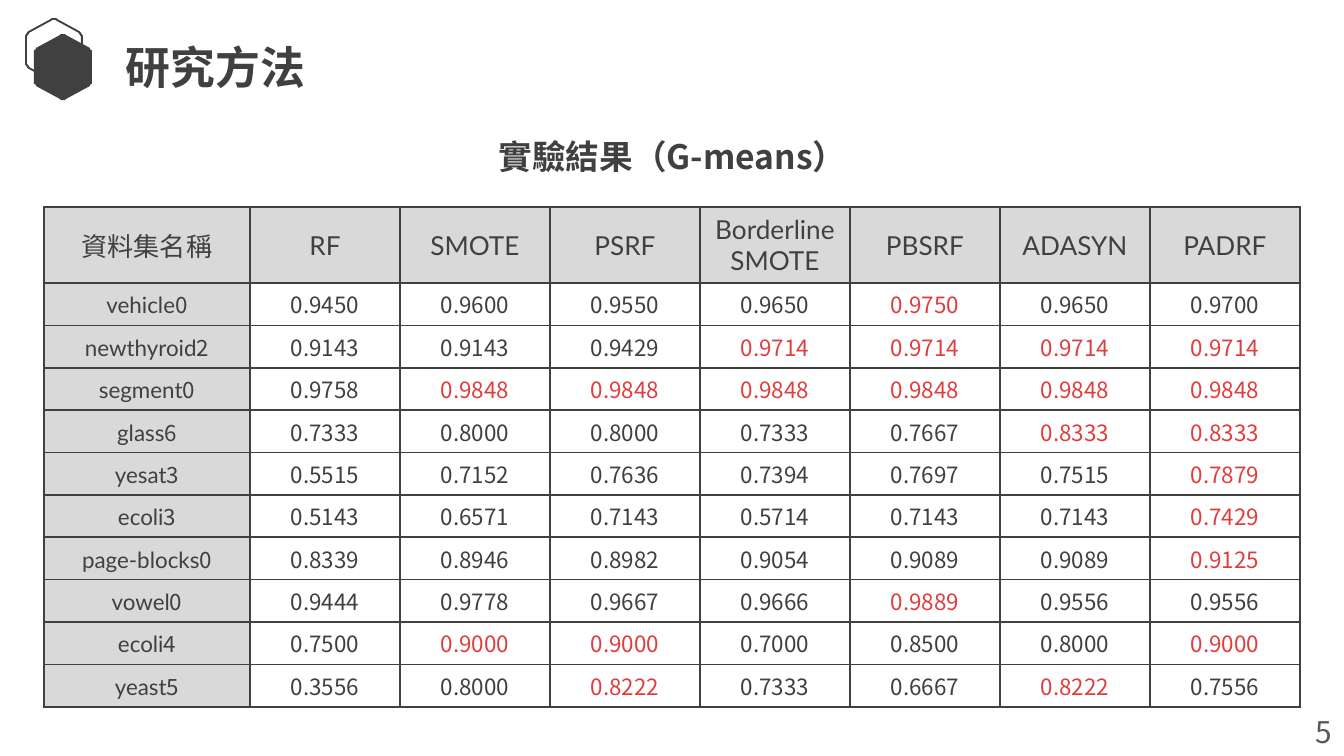
from math import cos, pi, sin

from lxml.etree import SubElement
from pptx import Presentation
from pptx.dml.color import RGBColor
from pptx.enum.text import MSO_ANCHOR, MSO_AUTO_SIZE, PP_ALIGN
from pptx.oxml import parse_xml
from pptx.oxml.ns import nsdecls, qn
from pptx.util import Pt

PX = 6804  # EMU per px at 134.4 px to the inch
CJK, LATIN = "Noto Sans CJK JP", "Lato"
COLORS = {"ink": "404040", "number": "595959", "best": "E03E3E", "head": "D9D9D9"}

HEADERS = ["資料集名稱", "RF", "SMOTE", "PSRF", "Borderline SMOTE", "PBSRF", "ADASYN", "PADRF"]
G_MEANS = {
    "vehicle0": (0.9450, 0.9600, 0.9550, 0.9650, 0.9750, 0.9650, 0.9700),
    "newthyroid2": (0.9143, 0.9143, 0.9429, 0.9714, 0.9714, 0.9714, 0.9714),
    "segment0": (0.9758, 0.9848, 0.9848, 0.9848, 0.9848, 0.9848, 0.9848),
    "glass6": (0.7333, 0.8000, 0.8000, 0.7333, 0.7667, 0.8333, 0.8333),
    "yesat3": (0.5515, 0.7152, 0.7636, 0.7394, 0.7697, 0.7515, 0.7879),
    "ecoli3": (0.5143, 0.6571, 0.7143, 0.5714, 0.7143, 0.7143, 0.7429),
    "page-blocks0": (0.8339, 0.8946, 0.8982, 0.9054, 0.9089, 0.9089, 0.9125),
    "vowel0": (0.9444, 0.9778, 0.9667, 0.9666, 0.9889, 0.9556, 0.9556),
    "ecoli4": (0.7500, 0.9000, 0.9000, 0.7000, 0.8500, 0.8000, 0.9000),
    "yeast5": (0.3556, 0.8000, 0.8222, 0.7333, 0.6667, 0.8222, 0.7556),
}


def rgb(name):
    return RGBColor.from_string(COLORS[name])


def add_text(p, text, size=12, font=CJK, color="ink", bold=False, align=None):
    """Append one formatted run to paragraph p."""
    if align is not None:
        p.alignment = align
    r = p.add_run()
    r.text = text
    r.font.size, r.font.bold, r.font.name = Pt(size), bold, font
    r.font.color.rgb = rgb(color)
    SubElement(r.font._element, qn("a:ea"), typeface=CJK)


def rounded_hexagon(cx, cy, radius, cut=0.1, steps=6):
    """Points of a point-up hexagon whose corners are quadratic curves."""
    corners = [(cx + radius * sin(i * pi / 3), cy - radius * cos(i * pi / 3)) for i in range(6)]
    points = []
    for i, (x, y) in enumerate(corners):
        (ax, ay), (bx, by) = corners[i - 1], corners[(i + 1) % 6]
        for k in range(steps + 1):
            t = k / steps
            before, after = cut * (1 - t) ** 2, cut * t ** 2
            points.append((x + before * (ax - x) + after * (bx - x),
                           y + before * (ay - y) + after * (by - y)))
    return points


class SlideBuilder:
    def __init__(self, prs):
        self.slide = prs.slides.add_slide(prs.slide_layouts[6])

    def hexagon(self, cx, cy, radius, filled):
        first, *rest = rounded_hexagon(cx, cy, radius)
        builder = self.slide.shapes.build_freeform(*first, scale=PX)
        builder.add_line_segments(rest, close=True)
        sp = builder.convert_to_shape()
        sp.shadow.inherit = False
        if filled:
            sp.fill.solid()
            sp.fill.fore_color.rgb = rgb("ink")
            sp.line.fill.background()
        else:
            sp.fill.background()
            sp.line.color.rgb = rgb("ink")
            sp.line.width = Pt(1)

    def text(self, x, y, w, h, text, inset=None, anchor=MSO_ANCHOR.TOP, wrap=True, **style):
        sp = self.slide.shapes.add_textbox(x * PX, y * PX, w * PX, h * PX)
        tf = sp.text_frame
        tf.word_wrap, tf.vertical_anchor = wrap, anchor
        tf.auto_size = MSO_AUTO_SIZE.SHAPE_TO_FIT_TEXT
        if inset:
            tf.margin_left = tf.margin_right = inset[0] * PX
            tf.margin_top = tf.margin_bottom = inset[1] * PX
        add_text(tf.paragraphs[0], text, **style)

    def cell(self, cell, runs, fill=None):
        """Fill one table cell with (text, style) runs and rule all its edges."""
        cell.vertical_anchor = MSO_ANCHOR.MIDDLE
        cell.margin_top = cell.margin_bottom = 4 * PX
        for text, style in runs:
            add_text(cell.text_frame.paragraphs[0], text, align=PP_ALIGN.CENTER, **style)
        tc_pr = cell._tc.get_or_add_tcPr()
        for edge in ("lnL", "lnR", "lnT", "lnB"):
            tc_pr.append(parse_xml(
                f'<a:{edge} {nsdecls("a")} w="{Pt(1)}"><a:solidFill>'
                f'<a:srgbClr val="{COLORS["ink"]}"/></a:solidFill></a:{edge}>'))
        if fill:
            cell.fill.solid()
            cell.fill.fore_color.rgb = rgb(fill)
        else:
            cell.fill.background()

    def results_table(self, x, y, w, h, name_w, head_h):
        n_rows, n_cols = len(G_MEANS) + 1, len(HEADERS)
        table = self.slide.shapes.add_table(n_rows, n_cols, x * PX, y * PX, w * PX, h * PX).table
        table.first_row = table.horz_banding = False
        for i, column in enumerate(table.columns):
            column.width = (w - name_w) * PX // (n_cols - 1) if i else name_w * PX
        for i, row in enumerate(table.rows):
            row.height = (h - head_h) * PX // (n_rows - 1) if i else head_h * PX

        for col, header in enumerate(HEADERS):
            style = {"size": 14, "font": LATIN if col else CJK}
            self.cell(table.cell(0, col), [(header, style)], "head")
        for row, (name, values) in enumerate(G_MEANS.items(), 1):
            self.cell(table.cell(row, 0), [(name[:-1], {"font": LATIN}), (name[-1], {})], "head")
            for col, value in enumerate(values, 1):
                color = "best" if value == max(values) else "ink"
                self.cell(table.cell(row, col), [(f"{value:.4f}", {"color": color})])


def main():
    prs = Presentation()
    prs.slide_width, prs.slide_height = 1344 * PX, 756 * PX
    s = SlideBuilder(prs)
    s.hexagon(54, 50, 32, filled=False)
    s.hexagon(63, 67, 34, filled=True)
    s.text(117, 35, 476, 65, "研究方法", inset=(9, 5), size=24, bold=True)
    s.text(1302, 707, 42, 50, "5", wrap=False, size=16, color="number")
    s.text(278, 129, 789, 54, "實驗結果（G-means）", anchor=MSO_ANCHOR.MIDDLE,
           size=18, bold=True, align=PP_ALIGN.CENTER)
    s.results_table(44, 207, 1256, 500, name_w=206, head_h=76)
    prs.save("out.pptx")


if __name__ == "__main__":
    main()
